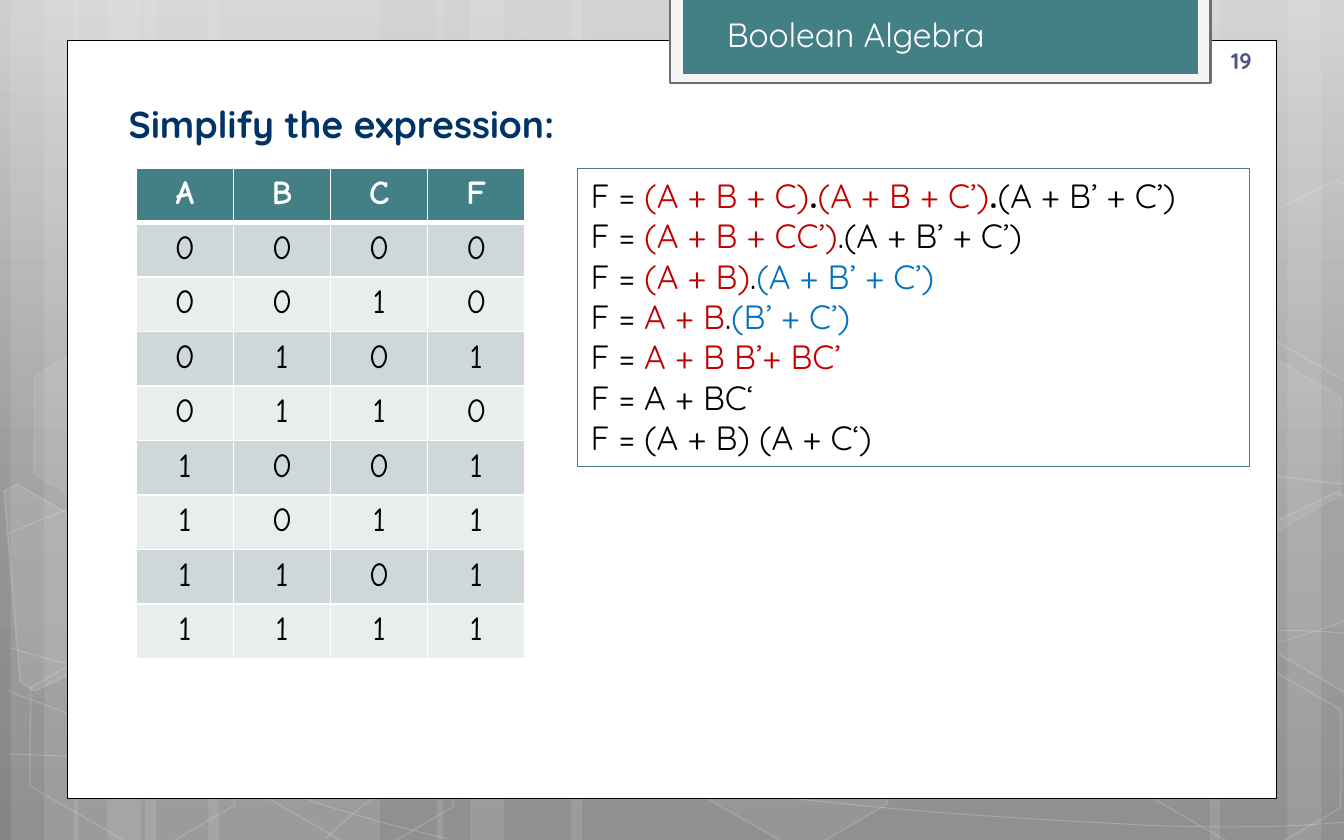
from copy import deepcopy
from itertools import product
from math import cos, radians, sin

from lxml.etree import SubElement
from pptx import Presentation
from pptx.dml.color import RGBColor
from pptx.enum.shapes import MSO_SHAPE as Shape
from pptx.enum.text import MSO_ANCHOR as Anchor, MSO_AUTO_SIZE as AutoSize, PP_ALIGN as Align
from pptx.oxml.ns import qn
from pptx.util import Inches, Pt

# The slide is a grid of 100 columns by 62.5 rows
COLUMNS, ROWS = 100, 62.5
UNIT = Inches(0.1)
TILT = 30
SANS, HAND = "Quicksand", "Comic Neue"
COLORS = {
    "white": "FFFFFF", "black": "000000", "teal": "438086", "navy": "003366",
    "purple": "53548A", "red": "C00000", "blue": "0070C0", "frame": "F5F5F5",
    "edge": "6F6F6F", "dark band": "CFD8D9", "light band": "E9EDED",
}
BACKDROP = [(0, "CFCFCF"), (0.62, "969696"), (1, "848484")]

# Start point, then Bezier triples (two controls and an end)
CURVES = [
    [(0.7, 56.1), (6.1, 56.3), (11.5, 56.6), (19, 56.5), (26.5, 56.4), (35.8, 56.3), (45.8, 55.4),
     (55.8, 54.6), (70, 53), (79.2, 51.4), (88.3, 49.8), (97.7, 47.3), (100.7, 45.9)],
    [(0.7, 39.7), (3.6, 38.4), (6.5, 37.2), (12.1, 35.9), (17.8, 34.7), (25.9, 32.9), (34.7, 32.3),
     (43.6, 31.6), (54.4, 31.6), (65.4, 32.3), (76.4, 32.9), (94.7, 35.5), (100.7, 36.1)],
    [(0.6, 51.4), (12.7, 56), (24.7, 60.6), (33.4, 62.4)],
    [(0.7, 48.2), (3.8, 49.1), (7, 50), (12.8, 51.3), (18.6, 52.6), (27.3, 54.6), (35.7, 56.1),
     (44, 57.5), (54.5, 59), (62.8, 59.8), (71.1, 60.7), (80, 61.1), (85.3, 61.4),
     (90.5, 61.6), (91.9, 61.5), (94.5, 61.5), (97.1, 61.4), (98.9, 61.3), (100.7, 61.1)],
    [(24.2, 62.4), (26, 60.8), (27.8, 59.1), (30.2, 57.6), (32.6, 56), (36, 54.4), (38.8, 53.2),
     (41.6, 52.1), (43.3, 51.6), (47, 50.8), (50.6, 49.9), (57.3, 48.7), (60.8, 48.2),
     (64.4, 47.6), (64.9, 47.6), (68, 47.4), (71.1, 47.2), (76, 47), (79.4, 46.9),
     (82.9, 46.8), (88.6, 46.9), (88.6, 46.9), (91, 46.9), (93, 46.9), (95.3, 46.9),
     (97.1, 46.9), (98.8, 47), (99.7, 47.1), (100.6, 47.1), (100.3, 47.1), (100.6, 47.2)],
]
# Left, top, fill opacity, line opacity
HEXAGONS = [
    (33.4, 3, 4, 8), (49.7, 49.1, 6, 12), (1.1, 49.2, 0, 12), (1.4, 26, 7, 8),
    (17.4, 49.3, 0, 12), (75.3, 37.8, 10, 12), (83.4, 49.4, 0, 12), (83.4, 26.1, 7, 8),
]
# Hexagons cut by the slide's edge: corners, centre, fill opacity
CUT_HEXAGONS = [
    ([(0.3, 36.5), (1.3, 36), (8.9, 40.4), (9.5, 48.1), (2.6, 51.4), (1.5, 50.7)],
     (3.6, 44.65), 10),
    ([(92.6, 39.9), (99.5, 36.6), (100.2, 37), (101.5, 51.7), (100.9, 52), (93.2, 47.5)],
     (98.5, 43.35), 4),
    ([(92.6, 16.7), (99.5, 13.4), (100.3, 13.9), (101.5, 28.5), (100.9, 28.8), (93.2, 24.4)],
     (98.5, 20.15), 0),
]
# Each line of working follows "F = "; runs are (text, color, bold)
WORKING = [
    [("(A + B + C)", "red"), (".", "black", True), ("(A + B + C’)", "red"),
     (".", "black", True), ("(A + B’ + C’)", "black")],
    [("(A + B + CC’)", "red"), (".(A + B’ + C’)", "black")],
    [("(A + B)", "red"), (".", "black"), ("(A + B’ + C’)", "blue")],
    [("A + B", "red"), (".", "black"), ("(B’ + C’)", "blue")],
    [("A + B B’+ BC’", "red")],
    [("A + BC‘", "black")],
    [("(A + B) (A + C‘)", "black")],
]


def grid(*cells):
    return [int(cell * UNIT) for cell in cells]


def rgb(name):
    return RGBColor.from_string(COLORS[name])


def paint(shape, fill=None, line=None, width=1.0, fill_alpha=100, line_alpha=100):
    shape.shadow.inherit = False
    for part, color in ((shape.fill, fill), (shape.line.fill, line)):
        if color:
            part.solid()
            part.fore_color.rgb = rgb(color)
        else:
            part.background()
    if line:
        shape.line.width = Pt(width)
    for parent, alpha in (("p:spPr", fill_alpha), ("p:spPr/a:ln", line_alpha)):
        for color in shape.element.xpath(f"{parent}/a:solidFill/a:srgbClr"):
            if alpha < 100:
                SubElement(color, qn("a:alpha")).set("val", str(alpha * 1000))


def add_panel(slide, at, kind=Shape.RECTANGLE, **look):
    panel = slide.shapes.add_shape(kind, *grid(*at))
    paint(panel, **look)
    return panel


def add_outline(slide, points, close, **look):
    corners = [tuple(grid(*point)) for point in points]
    builder = slide.shapes.build_freeform(*corners[0], scale=1.0)
    builder.add_line_segments(corners[1:], close=close)
    outline = builder.convert_to_shape()
    paint(outline, line="white", **look)
    return outline


def add_curve(slide, points, **look):
    """Draw the chain of points, then join each three as one Bezier piece."""
    route = add_outline(slide, points, False, **look).element.xpath(".//a:path")[0]
    steps = route.findall(qn("a:lnTo"))
    for first in range(0, len(steps), 3):
        piece = SubElement(route, qn("a:cubicBezTo"))
        for step in steps[first:first + 3]:
            piece.append(step[0])
            route.remove(step)


def turn_back(point, centre):
    """Undo the tilt of a point about the centre."""
    x, y = point[0] - centre[0], point[1] - centre[1]
    c, s = cos(radians(TILT)), sin(radians(TILT))
    return centre[0] + x * c + y * s, centre[1] - x * s + y * c


def set_font(font, size, color, name=SANS, bold=False):
    font.name, font.size, font.bold = name, Pt(size), bold
    font.color.rgb = rgb(color)


def add_label(slide, at, text, size, color, bold=False, align=Align.LEFT, anchor=Anchor.TOP):
    frame = slide.shapes.add_textbox(*grid(*at)).text_frame
    frame.word_wrap, frame.vertical_anchor = True, anchor
    label = frame.paragraphs[0]
    label.text, label.alignment = text, align
    set_font(label.font, size, color, bold=bold)


def add_backdrop(slide):
    fill = slide.background.fill
    fill.gradient()
    fill.gradient_angle = 270
    stop_list = slide.element.xpath(".//a:gsLst")[0]
    stop_list.append(deepcopy(stop_list[-1]))
    for stop, (position, color) in zip(fill.gradient_stops, BACKDROP):
        stop.position, stop.color.rgb = position, RGBColor.from_string(color)

    # Pale vertical bars
    bars = [(start + shift, width) for start in (0.8, 5.5)
            for shift, width in ((10, 17.5), (0, 5), (2.5, 8.3))]
    bars += [(73.3, 17.5), (95.8, 5), (90, 8.3), (42.5, 30.8), (32.5, 5), (35, 8.3)]
    for left, width in bars:
        add_panel(slide, (left, 0, width, ROWS), fill="white", fill_alpha=10)

    # Thin curves and hexagons
    for curve in CURVES:
        add_curve(slide, curve, width=0.5, line_alpha=20)
    for left, top, fill_alpha, line_alpha in HEXAGONS:
        hexagon = add_panel(slide, (left, top, 17.5, 12.7), Shape.HEXAGON, line="white",
                            fill="white" if fill_alpha else None,
                            fill_alpha=fill_alpha, line_alpha=line_alpha)
        hexagon.adjustments[0], hexagon.adjustments[1] = 0.285, 1.155
        hexagon.rotation = TILT
    for corners, centre, fill_alpha in CUT_HEXAGONS:
        level = [turn_back(corner, centre) for corner in corners]
        add_outline(slide, level, True, fill="white" if fill_alpha else None,
                    fill_alpha=fill_alpha, line_alpha=12).rotation = TILT


def style_cell(cell, text, fill, color, bold, thick_side=None):
    borders = cell._tc.get_or_add_tcPr()
    for side in "LRTB":
        width = Pt(3 if side == thick_side else 1)
        border = SubElement(borders, qn(f"a:ln{side}"), w=str(width))
        SubElement(SubElement(border, qn("a:solidFill")), qn("a:srgbClr"), val=COLORS["white"])
    cell.fill.solid()
    cell.fill.fore_color.rgb = rgb(fill)
    entry = cell.text_frame.paragraphs[0]
    entry.text, entry.alignment = text, Align.CENTER
    set_font(entry.font, 18, color, HAND, bold)


def add_truth_table(slide):
    rows = ["ABCF"] + [(a, b, c, int(a or (b and not c)))
                       for a, b, c in product((0, 1), repeat=3)]
    table = slide.shapes.add_table(len(rows), 4, *grid(10.15, 12.5, 28.9, 36.5)).table
    for r, values in enumerate(rows):
        if r == 0:
            look = ("teal", "white", True, "B")
        else:
            look = ("dark band" if r % 2 else "light band", "black", False, "T" if r == 1 else None)
        for c, value in enumerate(values):
            style_cell(table.cell(r, c), str(value), *look)


def add_working(slide):
    frame = add_panel(slide, (42.97, 12.53, 50, 22.2), line="teal", width=0.75).text_frame
    frame.word_wrap, frame.auto_size = True, AutoSize.SHAPE_TO_FIT_TEXT
    frame.vertical_anchor = Anchor.TOP
    for number, terms in enumerate(WORKING):
        line = frame.add_paragraph() if number else frame.paragraphs[0]
        line.alignment = Align.LEFT
        for text, color, *bold in [("F = ", "black")] + terms:
            run = line.add_run()
            run.text = text
            set_font(run.font, 18, color, bold=bool(bold))


def main():
    deck = Presentation()
    deck.slide_width, deck.slide_height = grid(COLUMNS, ROWS)
    slide = deck.slides.add_slide(deck.slide_layouts[6])
    add_backdrop(slide)

    # Page and title tab
    add_panel(slide, (5, 3, 90, 56.4), fill="white", line="black", width=0.5)
    add_panel(slide, (49.87, -0.2, 40.2, 6.4), fill="frame", line="edge", width=1.25)
    add_panel(slide, (50.83, -0.2, 38.3, 5.7), fill="teal")

    # Headings and page number
    add_label(slide, (8.6, 7.04, 83.6, 4.4), "Simplify the expression:", 20, "navy",
              bold=True, align=Align.JUSTIFY)
    add_label(slide, (90.63, 3.25, 14.6, 2.5), "19", 12, "purple", bold=True, anchor=Anchor.MIDDLE)
    add_label(slide, (53.1, 0.54, 25.8, 4), "Boolean Algebra", 18, "white")

    # Truth table and its simplification
    add_truth_table(slide)
    add_working(slide)
    deck.save("out.pptx")


if __name__ == "__main__":
    main()
